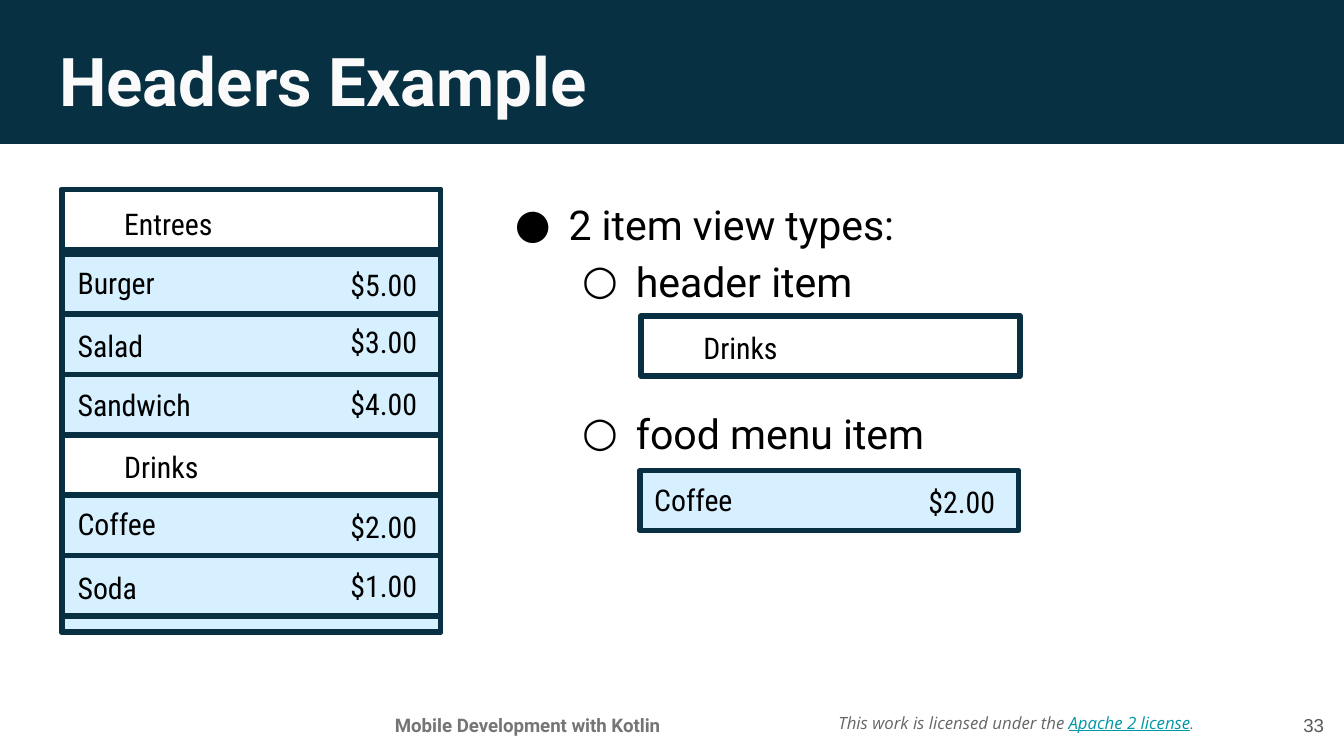
"""Build the slide that shows a menu list with header rows."""
import dataclasses

import lxml.etree
import pptx
import pptx.dml.color
import pptx.enum.shapes
import pptx.enum.text
import pptx.oxml.ns
import pptx.util

Pt = pptx.util.Pt
Align = pptx.enum.text.PP_ALIGN
Anchor = pptx.enum.text.MSO_ANCHOR


@dataclasses.dataclass(frozen=True)
class Theme:
    band: str = "073042"
    edge: str = "083042"
    food: str = "D6F0FF"
    title: str = "FAFAFA"
    ink: str = "000000"
    foot: str = "757575"
    note: str = "666666"
    link: str = "0097A7"
    page: str = "595959"
    sans: str = "Roboto"
    slim: str = "Roboto Condensed"
    open: str = "Open Sans"
    plain: str = "Arial"
    head_size: float = 36
    list_size: float = 22
    item_size: float = 16
    foot_size: float = 10
    note_size: float = 9


THEME = Theme()
WIDE, ROW = 203, 32.3
LEFT, TOP, FIRST = 33.1, 101.5, 136.1
ROWS = (
    ("Burger", "$5.00", -1.5, -0.7),
    ("Salad", "$3.00", 0, -2.2),
    ("Sandwich", "$4.00", -0.7, -1.4),
    ("Drinks",),
    ("Coffee", "$2.00", -1.4, 0),
    ("Soda", "$1.00", 0.6, -0.8),
)


def tint(code):
    return pptx.dml.color.RGBColor.from_string(code)


def write(par, text, size=THEME.item_size, font=THEME.slim, color=THEME.ink,
          bold=False, slant=False, under=False):
    run = par.add_run()
    run.text = text
    face = run.font
    face.size, face.name = Pt(size), font
    face.bold, face.italic, face.underline = bold, slant, under
    face.color.rgb = tint(color)


def place(shape, box):
    shape.left, shape.top, shape.width, shape.height = (Pt(v) for v in box)


def setup(frame, anchor=Anchor.TOP):
    frame.word_wrap = True
    frame.auto_size = pptx.enum.text.MSO_AUTO_SIZE.NONE
    frame.vertical_anchor = anchor
    frame.margin_left = frame.margin_right = Pt(7.2)
    frame.margin_top = frame.margin_bottom = Pt(7.2)


def label(slide, box, text="", anchor=Anchor.TOP, align=Align.LEFT, **style):
    frame = slide.shapes.add_textbox(*(Pt(v) for v in box)).text_frame
    setup(frame, anchor)
    par = frame.paragraphs[0]
    par.alignment = align
    if text:
        write(par, text, **style)
    return par


def block(slide, box, fill=None, line=None):
    kind = pptx.enum.shapes.MSO_SHAPE.RECTANGLE
    shape = slide.shapes.add_shape(kind, *(Pt(v) for v in box))
    shape.shadow.inherit = False
    if fill:
        shape.fill.solid()
        shape.fill.fore_color.rgb = tint(fill)
    else:
        shape.fill.background()
    if line:
        shape.line.color.rgb = tint(line)
        shape.line.width = Pt(3)
    else:
        shape.line.fill.background()
    return shape


def header(slide, x, y, text, drop=6.5):
    block(slide, (x, y, WIDE, ROW), line=THEME.edge)
    label(slide, (x + 26.3, y + drop, 191.5, 21), text, Anchor.MIDDLE)


def food(slide, x, y, name, price, rise=0, fall=0, inset=1.4):
    block(slide, (x, y, WIDE, ROW), THEME.food, THEME.edge)
    label(slide, (x + inset, y + rise, 140, 23), name)
    label(slide, (x + 147.6, y + fall, 55.4, 23), price)


def menu(slide):
    header(slide, LEFT, TOP, "Entrees", drop=8)
    for i, row in enumerate(ROWS):
        draw = food if len(row) > 1 else header
        draw(slide, LEFT, FIRST + i * ROW, *row)
    last = FIRST + len(ROWS) * ROW
    block(slide, (LEFT, last, WIDE, 8.6), THEME.food, THEME.edge)
    block(slide, (LEFT, TOP, WIDE, last + 8.6 - TOP), line=THEME.edge)


def bullet(par, text, mark, level=0, gap=0):
    par.level = level
    props = par._p.get_or_add_pPr()
    props.set("marL", str(Pt(36 * (level + 1))))
    props.set("indent", str(Pt(-28.8)))
    name = pptx.oxml.ns.qn
    color = lxml.etree.SubElement(props, name("a:buClr"))
    lxml.etree.SubElement(color, name("a:srgbClr"), val=THEME.ink)
    lxml.etree.SubElement(props, name("a:buFont"), typeface=THEME.sans)
    lxml.etree.SubElement(props, name("a:buChar"), char=mark)
    par.line_spacing = 1.15
    par.space_before = Pt(gap)
    write(par, text, THEME.list_size, THEME.sans)


def title(slide):
    shape = slide.shapes.title
    place(shape, (24.5, 13.7, 671, 45.4))
    setup(shape.text_frame)
    par = shape.text_frame.paragraphs[0]
    par.alignment = Align.LEFT
    write(par, "Headers Example", THEME.head_size, THEME.sans, THEME.title, True)
    band = block(slide, (-0.7, -2.9, 721, 80), THEME.band)
    shape._element.addprevious(band._element)


def body(slide):
    shape = slide.placeholders[1]
    place(shape, (261.4, 95.8, 342.7, 251.3))
    frame = shape.text_frame
    setup(frame)
    bullet(frame.paragraphs[0], "2 item view types:", "●")
    bullet(frame.add_paragraph(), "header item", "○", 1)
    bullet(frame.add_paragraph(), "food menu item", "○", 1, gap=51)


def footer(slide):
    label(slide, (180.7, 375.1, 203.8, 23), "Mobile Development with Kotlin",
          align=Align.CENTER, size=THEME.foot_size, font=THEME.sans,
          color=THEME.foot, bold=True)
    note = label(slide, (442.1, 370.1, 211.7, 33.8), anchor=Anchor.MIDDLE)
    style = {"size": THEME.note_size, "slant": True}
    write(note, "This work is licensed under the ", font=THEME.open,
          color=THEME.note, **style)
    write(note, "Apache 2 license", font=THEME.open, color=THEME.link,
          under=True, **style)
    write(note, ".", font=THEME.sans, color=THEME.note, **style)
    label(slide, (673.2, 373, 43.2, 31), "33", Anchor.MIDDLE, Align.RIGHT,
          size=THEME.foot_size, font=THEME.plain, color=THEME.page)


def main():
    deck = pptx.Presentation()
    deck.slide_width, deck.slide_height = Pt(720), Pt(405)
    slide = deck.slides.add_slide(deck.slide_layouts[1])
    title(slide)
    body(slide)
    menu(slide)
    header(slide, 343.4, 169.2, "Drinks")
    food(slide, 342.7, 252, "Coffee", "$2.00", rise=-1.4, inset=0.7)
    footer(slide)
    deck.save("out.pptx")


if __name__ == "__main__":
    main()
